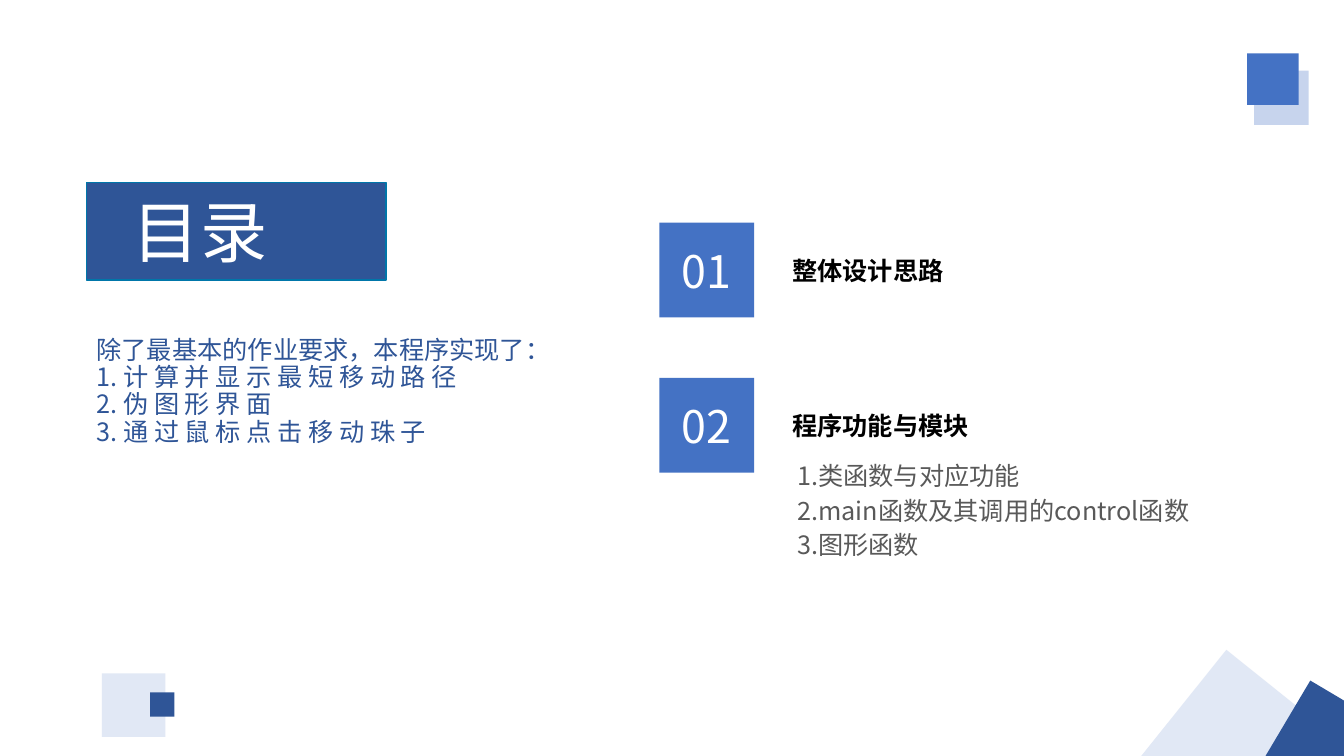
"""Build the contents slide of a program design presentation."""
import dataclasses

import lxml.etree
import pptx
import pptx.dml.color
import pptx.enum.shapes
import pptx.enum.text
import pptx.oxml.ns
import pptx.util

Inches = pptx.util.Inches
Align = pptx.enum.text.PP_ALIGN


@dataclasses.dataclass(frozen=True)
class Theme:
    """Colours, type sizes and font of the slide."""
    font: str = "Noto Sans CJK SC"
    navy: str = "2F5597"
    blue: str = "4472C4"
    pale: str = "C7D4ED"
    border: str = "0076A9"
    white: str = "FFFFFF"
    black: str = "000000"
    grey: str = "595959"
    title: int = 48
    number: int = 32
    body: int = 18


class SlideBuilder:
    """Draws styled elements on one slide."""

    def __init__(self, slide, theme):
        """Keep the slide and its theme."""
        self.slide = slide
        self.theme = theme

    def fill_text(self, frame, lines, size, color, bold=None, align=None, spacing=None):
        """Fill a text frame with one paragraph per line."""
        frame.word_wrap = True
        for index, line in enumerate(lines):
            paragraph = frame.paragraphs[0] if index == 0 else frame.add_paragraph()
            paragraph.text = line
            paragraph.alignment = align
            paragraph.line_spacing = spacing
            font = paragraph.font
            font.name = self.theme.font
            font.size = pptx.util.Pt(size)
            font.bold = bold
            font.color.rgb = pptx.dml.color.RGBColor.from_string(color)
            qualify = pptx.oxml.ns.qn
            properties = paragraph._p.pPr.find(qualify("a:defRPr"))
            lxml.etree.SubElement(properties, qualify("a:ea"), typeface=self.theme.font)

    def text(self, left, top, width, height, lines, size, color, **style):
        """Add a text box."""
        box = self.slide.shapes.add_textbox(*map(Inches, (left, top, width, height)))
        self.fill_text(box.text_frame, lines, size, color, **style)

    def rectangle(self, left, top, width, height, color, line=None, rotation=0, opacity=100):
        """Add a filled rectangle and return it."""
        shape = self.slide.shapes.add_shape(
            pptx.enum.shapes.MSO_SHAPE.RECTANGLE, *map(Inches, (left, top, width, height)))
        shape.shadow.inherit = False
        shape.rotation = rotation
        shape.fill.solid()
        shape.fill.fore_color.rgb = pptx.dml.color.RGBColor.from_string(color)
        if line:
            shape.line.color.rgb = pptx.dml.color.RGBColor.from_string(line)
            shape.line.width = pptx.util.Pt(1)
        else:
            shape.line.fill.background()
        if opacity < 100:
            qualify = pptx.oxml.ns.qn
            fill_color = shape._element.spPr.find(qualify("a:solidFill"))[0]
            lxml.etree.SubElement(fill_color, qualify("a:alpha"), val=str(opacity * 1000))
        return shape

    def square(self, left, top, side, color, **style):
        """Add a filled square and return it."""
        return self.rectangle(left, top, side, side, color, **style)

    def section(self, top, number, heading):
        """Add a numbered square with its heading."""
        theme = self.theme
        frame = self.square(6.54, top, 0.94, theme.blue).text_frame
        frame.vertical_anchor = pptx.enum.text.MSO_ANCHOR.MIDDLE
        self.fill_text(frame, [number], theme.number, theme.white, align=Align.CENTER)
        self.text(7.76, top + 0.27, 4.5, 0.4, [heading], theme.body, theme.black, bold=True)


def main():
    """Build and save the presentation."""
    presentation = pptx.Presentation()
    presentation.slide_width = Inches(13.33)
    presentation.slide_height = Inches(7.5)
    theme = Theme()
    slide = presentation.slides.add_slide(presentation.slide_layouts[6])
    builder = SlideBuilder(slide, theme)

    builder.rectangle(0.86, 1.81, 2.97, 0.97, theme.navy, line=theme.border)
    builder.text(0.86, 3.3, 5.26, 1.19, [
        "除了最基本的作业要求，本程序实现了：",
        "1. 计 算 并 显 示 最 短 移 动 路 径",
        "2. 伪 图 形 界 面",
        "3. 通 过 鼠 标 点 击 移 动 珠 子",
    ], theme.body, theme.navy, spacing=0.9)
    builder.text(1.22, 1.84, 2.25, 0.91, ["目录"], theme.title, theme.white, align=Align.JUSTIFY)

    builder.section(2.21, "01", "整体设计思路")
    builder.section(3.75, "02", "程序功能与模块")
    builder.text(7.81, 4.48, 5.4, 1.13, [
        "1.类函数与对应功能",
        "2.main函数及其调用的control函数",
        "3.图形函数",
    ], theme.body, theme.grey, spacing=1.14)

    builder.square(12.44, 0.7, 0.54, theme.pale)
    builder.square(11.53, 6.75, 1.5, theme.pale, rotation=308.7, opacity=53)
    builder.square(1.01, 6.68, 0.63, theme.pale, opacity=53)
    builder.square(1.49, 6.87, 0.24, theme.navy)
    builder.square(12.37, 0.53, 0.51, theme.blue)
    builder.square(12.7, 6.92, 0.91, theme.navy, rotation=300.7)

    presentation.save("out.pptx")


if __name__ == "__main__":
    main()
